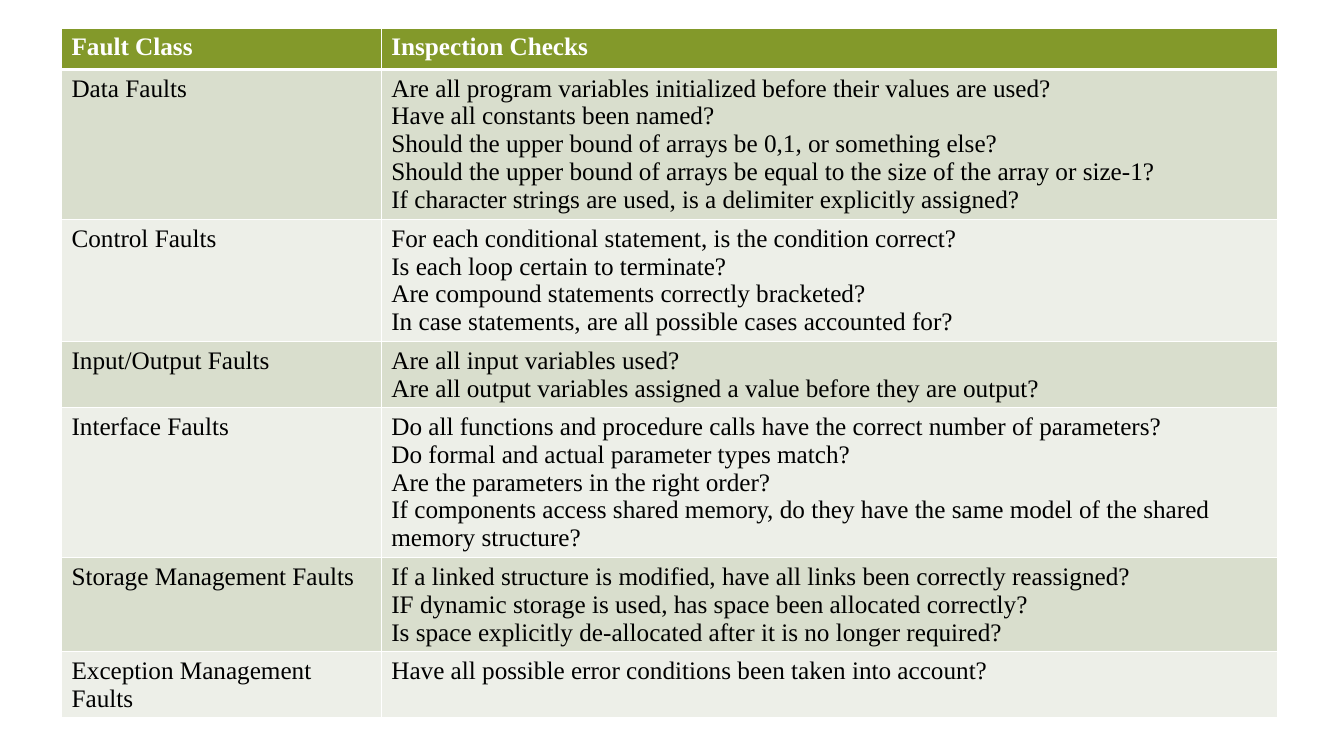
from lxml.etree import SubElement
from pptx import Presentation
from pptx.dml.color import RGBColor
from pptx.oxml.ns import qn
from pptx.util import Inches, Pt

OLIVE = RGBColor(0x83, 0x99, 0x2A)
SAGE = RGBColor(0xD9, 0xDE, 0xCD)
PALE_SAGE = RGBColor(0xED, 0xEF, 0xE8)
WHITE = RGBColor(0xFF, 0xFF, 0xFF)
BLACK = RGBColor(0x00, 0x00, 0x00)

FONT_NAME = "Times New Roman"
FONT_SIZE = Pt(18)
LINE_HEIGHT = Pt(20)
ROW_PADDING = Inches(0.1)
HEADER_HEIGHT = Inches(0.41)
CLASS_SHARE = 0.263

HEADINGS = ("Fault Class", ["Inspection Checks"])
FAULTS = [
    ("Data Faults", 5, [
        "Are all program variables initialized before their values are used?",
        "Have all constants been named?",
        "Should the upper bound of arrays be 0,1, or something else?",
        "Should the upper bound of arrays be equal to the size of the array or size-1?",
        "If character strings are used, is a delimiter explicitly assigned?",
    ]),
    ("Control Faults", 4, [
        "For each conditional statement, is the condition correct?",
        "Is each loop certain to terminate?",
        "Are compound statements correctly bracketed?",
        "In case statements, are all possible cases accounted for?",
    ]),
    ("Input/Output Faults", 2, [
        "Are all input variables used?",
        "Are all output variables assigned a value before they are output?",
    ]),
    ("Interface Faults", 5, [
        "Do all functions and procedure calls have the correct number of parameters?",
        "Do formal and actual parameter types match?",
        "Are the parameters in the right order?",
        "If components access shared memory, do they have the same model of the shared memory structure?",
    ]),
    ("Storage Management Faults", 3, [
        "If a linked structure is modified, have all links been correctly reassigned?",
        "IF dynamic storage is used, has space been allocated correctly?",
        "Is space explicitly de-allocated after it is no longer required?",
    ]),
    ("Exception Management Faults", 2, [
        "Have all possible error conditions been taken into account?",
    ]),
]


def add_borders(cell, top, bottom):
    """Draw white borders round a cell, with top and bottom widths in points."""
    properties = cell._tc.get_or_add_tcPr()
    for side, width in (("L", 1), ("R", 1), ("T", top), ("B", bottom)):
        line = SubElement(properties, qn(f"a:ln{side}"), w=str(Pt(width)))
        fill = SubElement(line, qn("a:solidFill"))
        SubElement(fill, qn("a:srgbClr"), val=str(WHITE))


def fill_cell(cell, lines, fill_color, text_color, bold):
    """Write one paragraph per line and colour the cell."""
    cell.text_frame.text = "\n".join(lines)
    for paragraph in cell.text_frame.paragraphs:
        for run in paragraph.runs:
            run.font.name = FONT_NAME
            run.font.size = FONT_SIZE
            run.font.bold = bold
            run.font.color.rgb = text_color
    cell.fill.solid()
    cell.fill.fore_color.rgb = fill_color


def add_checklist(slide, left, top, width):
    """Place the table of fault classes and their inspection checks."""
    heights = [HEADER_HEIGHT]
    heights += [LINE_HEIGHT * count + ROW_PADDING for _, count, _ in FAULTS]
    rows = [HEADINGS] + [(name, checks) for name, _, checks in FAULTS]
    frame = slide.shapes.add_table(len(rows), 2, left, top, width, sum(heights))
    table = frame.table
    table.columns[0].width = int(width * CLASS_SHARE)
    table.columns[1].width = width - table.columns[0].width
    for index, (name, checks) in enumerate(rows):
        table.rows[index].height = heights[index]
        header = index == 0
        fill_color = OLIVE if header else (SAGE if index % 2 else PALE_SAGE)
        text_color = WHITE if header else BLACK
        for cell, lines in zip(table.rows[index].cells, ([name], checks)):
            add_borders(cell, 3 if index == 1 else 1, 3 if header else 1)
            fill_cell(cell, lines, fill_color, text_color, header)


def main():
    """Build the fault checklist slide."""
    presentation = Presentation()
    presentation.slide_width = Inches(13.33)
    presentation.slide_height = Inches(7.5)
    slide = presentation.slides.add_slide(presentation.slide_layouts[6])
    add_checklist(slide, Inches(0.61), Inches(0.28), Inches(12.06))
    presentation.save("out.pptx")


if __name__ == "__main__":
    main()
